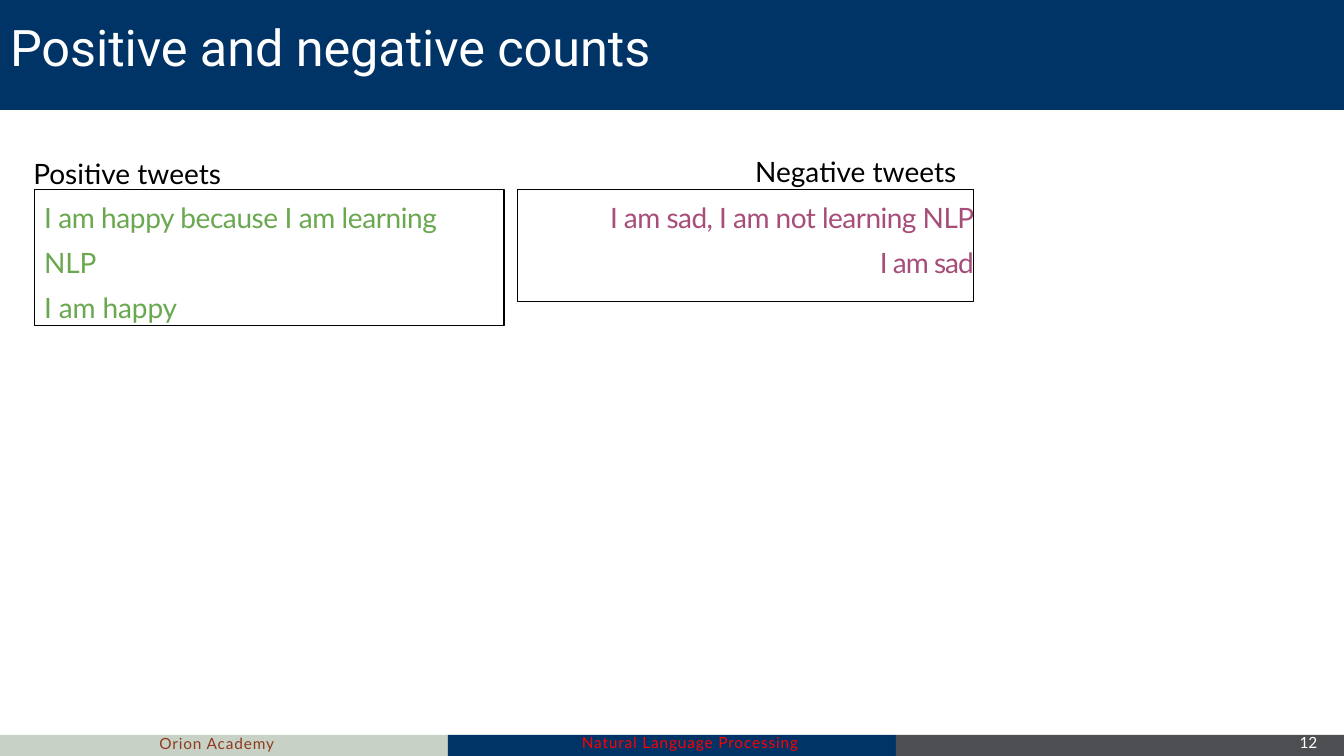
import pptx
import pptx.util
import pptx.dml.color
import pptx.enum.shapes
import pptx.enum.text

COLORS = {
    "navy": "003366", "sage": "C7D1C5", "slate": "4C4E52",
    "white": "FFFFFF", "black": "000000", "red": "FF0000",
    "rust": "8D3C1E", "green": "6AA84F", "plum": "A64D79",
}
COLUMNS, ROWS = 120, 75
ALIGN = pptx.enum.text.PP_ALIGN


class Deck:
    def __init__(self):
        self.prs = pptx.Presentation()
        self.prs.slide_width = pptx.util.Inches(13.33)
        self.prs.slide_height = pptx.util.Inches(7.5)
        self.slide = self.prs.slides.add_slide(self.prs.slide_layouts[6])

    def place(self, col, row, cols, rows):
        col_width = self.prs.slide_width / COLUMNS
        row_height = self.prs.slide_height / ROWS
        return [round(v) for v in (col * col_width, row * row_height,
                                   cols * col_width, rows * row_height)]

    def color(self, name):
        return pptx.dml.color.RGBColor.from_string(COLORS[name])

    def rect(self, *cell):
        sp = self.slide.shapes.add_shape(
            pptx.enum.shapes.MSO_SHAPE.RECTANGLE, *self.place(*cell))
        sp.shadow.inherit = False
        return sp

    def band(self, *cell, fill):
        sp = self.rect(*cell)
        sp.fill.solid()
        sp.fill.fore_color.rgb = self.color(fill)
        sp.line.fill.background()

    def set_text(self, sp, lines, size, color, font="Lato", align=ALIGN.LEFT,
                 before=0, spacing=None, top=0.01, side=0):
        tf = sp.text_frame
        tf.word_wrap = True
        tf.vertical_anchor = pptx.enum.text.MSO_ANCHOR.TOP
        tf.margin_top = pptx.util.Inches(top)
        tf.margin_left = pptx.util.Inches(side)
        tf.margin_right = tf.margin_bottom = 0
        tf.text = "\n".join(text for text, _ in lines)
        for p, (_, tracking) in zip(tf.paragraphs, lines):
            p.alignment = align
            p.space_before = pptx.util.Pt(before)
            if spacing:
                p.line_spacing = pptx.util.Pt(spacing)
            for r in p.runs:
                r.font.size = pptx.util.Pt(size)
                r.font.name = font
                r.font.color.rgb = self.color(color)
                r._r.get_or_add_rPr().set("spc", str(round(tracking * 100)))

    def label(self, text, *cell, size=20, color="black", tracking=0, **style):
        sp = self.slide.shapes.add_textbox(*self.place(*cell))
        self.set_text(sp, [(text, tracking)], size, color, **style)

    def footer(self, text, col, row, cols, color, tracking=0):
        self.label(text, col, row, cols, 1, size=11, color=color,
                   tracking=tracking, spacing=5.8, top=0)

    def tweets(self, lines, *cell, color, **style):
        sp = self.rect(*cell)
        sp.fill.background()
        sp.line.color.rgb = self.color("black")
        sp.line.width = pptx.util.Pt(0.75)
        self.set_text(sp, lines, 20, color, before=8, top=0.11, **style)


def main():
    deck = Deck()
    third = COLUMNS / 3
    for i, fill in enumerate(("sage", "navy", "slate")):
        deck.band(i * third, 72.9, third, 2.1, fill=fill)
    deck.footer("Natural Language Processing", 51.95, 73.8, 21.5, "red", 0.6)
    deck.footer("Orion Academy", 14.23, 73.9, 21.5, "rust", 0.6)
    deck.footer("12", 116.03, 73.8, 3.9, "white")

    deck.band(0, 0, COLUMNS, 10.9, fill="navy")
    deck.label("Positive and negative counts", 0.9, 1.5, 102.7, 7.3,
               size=36, color="white", font="Roboto", tracking=-0.06,
               before=0.9)

    deck.tweets([("I am happy because I am learning", -0.3), ("NLP", -0.1),
                 ("I am happy", -0.1)],
                3.06, 18.8, 41.95, 13.5, color="green", side=0.1)
    deck.label("Positive tweets", 2.97, 15.4, 17.1, 3.6, before=1.1)

    deck.tweets([("I am sad, I am not learning NLP", -0.4),
                 ("I am sad", -0.7)],
                46.18, 18.8, 40.78, 11.1, color="plum", align=ALIGN.RIGHT)
    deck.label("Negative tweets", 67.42, 15.2, 18.9, 3.6, before=1.1)

    deck.prs.save("out.pptx")


if __name__ == "__main__":
    main()
